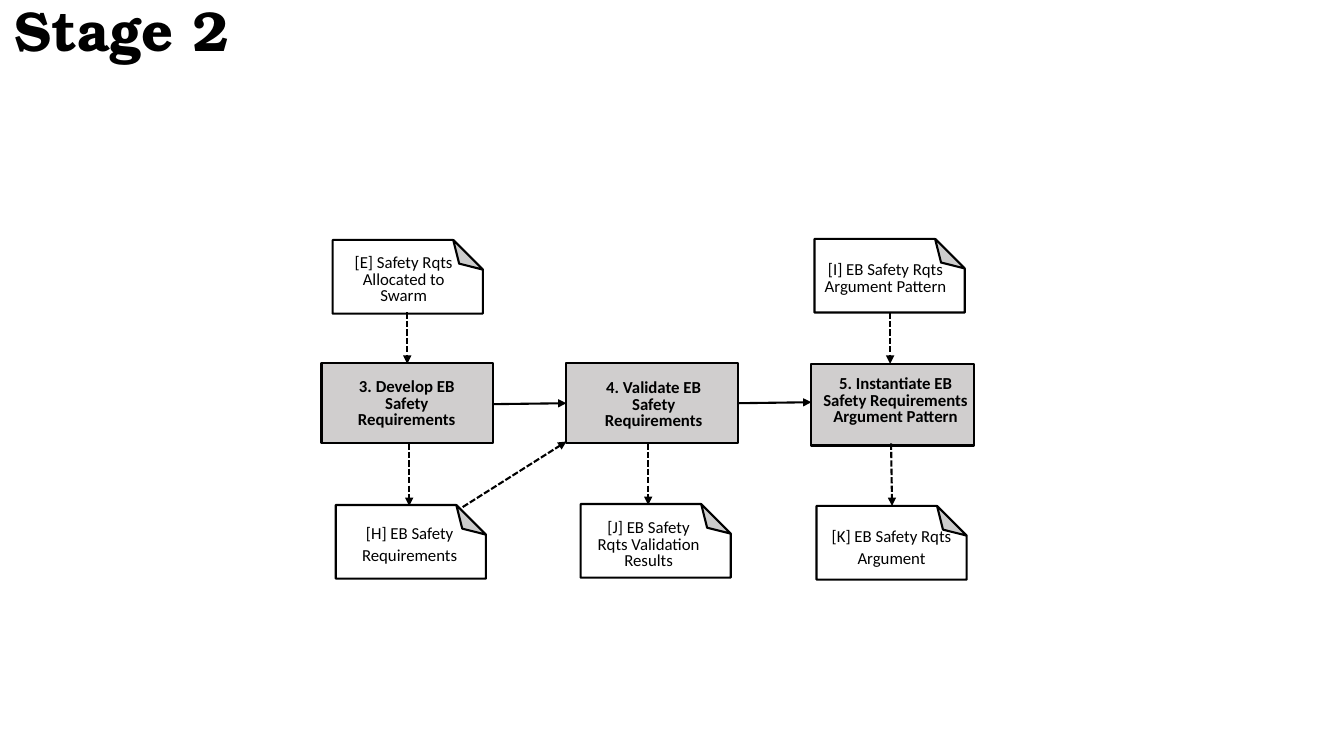
import pptx
import pptx.util
import pptx.dml.color
import pptx.enum.dml
import pptx.enum.shapes
import pptx.enum.text
import pptx.oxml
import pptx.oxml.ns

Pt = pptx.util.Pt
Align = pptx.enum.text.PP_ALIGN
Anchor = pptx.enum.text.MSO_ANCHOR
Dash = pptx.enum.dml.MSO_LINE
BLACK, WHITE, GREY = "000000", "FFFFFF", "D0CECE"
THIN, WIDE = (7.2, 3.6), (9.4, 5)
NOTE_W, NOTE_H = 107.3, 52.6
SPACE = pptx.oxml.ns.nsdecls("a")


def paint(form, color):
    form.solid()
    form.fore_color.rgb = pptx.dml.color.RGBColor.from_string(color)


def write(shape, text, size=12, font="Calibri", bold=False, align=Align.CENTER,
          lead=Pt(12), inset=THIN, anchor=Anchor.TOP):
    frame = shape.text_frame
    frame.word_wrap = True
    frame.auto_size = pptx.enum.text.MSO_AUTO_SIZE.NONE
    frame.vertical_anchor = anchor
    frame.margin_left = frame.margin_right = Pt(inset[0])
    frame.margin_top = frame.margin_bottom = Pt(inset[1])
    para = frame.paragraphs[0]
    para.alignment = align
    para.line_spacing = lead
    run = para.add_run()
    run.text = text
    run.font.size = Pt(size)
    run.font.name = font
    run.font.bold = bold
    paint(run.font.fill, BLACK)


def block(slide, box, color):
    shape = slide.shapes.add_shape(
        pptx.enum.shapes.MSO_SHAPE.RECTANGLE, *map(Pt, box))
    shape.shadow.inherit = False
    paint(shape.fill, color)
    paint(shape.line.fill, BLACK)
    shape.line.width = Pt(1.5)
    return shape


def fold(shape):
    geom = shape._element.spPr.find(pptx.oxml.ns.qn("a:prstGeom"))
    geom.set("prst", "foldedCorner")
    geom.find(pptx.oxml.ns.qn("a:avLst")).append(
        pptx.oxml.parse_xml(f'<a:gd {SPACE} name="adj" fmla="val 40200"/>'))


def label(slide, box, text, **style):
    write(slide.shapes.add_textbox(*map(Pt, box)), text, **style)


def step(slide, box, area, text, inset):
    block(slide, box, GREY)
    dx, dy, wide, high = area
    label(slide, (box[0] + dx, box[1] + dy, wide, high), text, bold=True, inset=inset)


def note(slide, left, top, area, text, **style):
    shift = (NOTE_W - NOTE_H) / 2
    page = block(slide, (left + shift, top - shift, NOTE_H, NOTE_W), WHITE)
    fold(page)
    page.rotation = 270
    dx, dy, wide, high = area
    label(slide, (left + dx, top + dy, wide, high), text, **style)


def arrow(slide, start, end, dashed):
    line = slide.shapes.add_connector(
        pptx.enum.shapes.MSO_CONNECTOR.STRAIGHT, *map(Pt, (*start, *end)))
    paint(line.line.fill, BLACK)
    line.line.width = Pt(1.5)
    if dashed:
        line.line.dash_style = Dash.SQUARE_DOT
    props = line._element.spPr
    props.find(pptx.oxml.ns.qn("a:ln")).append(
        pptx.oxml.parse_xml(f'<a:tailEnd {SPACE} type="triangle"/>'))
    props.append(pptx.oxml.parse_xml(f"<a:effectLst {SPACE}/>"))


def head(slide, box):
    title = slide.shapes.title
    title.left, title.top, title.width, title.height = map(Pt, box)
    write(title, "Stage 2", size=40, font="TeX Gyre Bonum", bold=True,
          align=Align.LEFT, lead=0.7, anchor=Anchor.MIDDLE)


def flow(slide, left, top):
    steps = [
        (0, 88.6, 122.4, 57.6, (7.2, 7.9, 107.3, 44), "3. Develop EB Safety Requirements", THIN),
        (174.9, 88.6, 122.4, 57.6, (5.1, 7.2, 114.5, 46), "4. Validate EB Safety Requirements", WIDE),
        (349.9, 89.3, 116, 58.3, (-2.9, 3.6, 126, 46),
         "5. Instantiate EB Safety Requirements Argument Pattern", WIDE),
    ]
    for x, y, wide, high, area, text, inset in steps:
        step(slide, (left + x, top + y, wide, high), area, text, inset)

    loose = Pt(15.8)
    notes = [
        (7.9, 0.8, (-2.9, 7.2, NOTE_W, 44), "[E] Safety Rqts Allocated to Swarm", {}),
        (352.1, 0, (-2.9, 13, NOTE_W, 32), "[I] EB Safety Rqts Argument Pattern", {}),
        (10.1, 190.1, (-0.8, 7.9, NOTE_W, 39), "[H] EB Safety Requirements", {"lead": loose}),
        (185, 189.4, (0, 7.9, 97.2, 44), "[J] EB Safety Rqts Validation Results", {}),
        (353.5, 190.8, (0, 7.9, NOTE_W, 41), "[K] EB Safety Rqts Argument",
         {"lead": loose, "inset": WIDE}),
    ]
    for x, y, area, text, style in notes:
        note(slide, left + x, top + y, area, text, **style)

    links = [
        (122.4, 118.1, 174.9, 117.4, False),
        (298.1, 117.4, 349.9, 116.7, False),
        (61.2, 52.6, 61.2, 89.3, True),
        (62.6, 146.2, 62.6, 190.8, True),
        (406.1, 52.6, 406.1, 89.3, True),
        (233.3, 146.2, 233.3, 190.1, True),
        (406.8, 146.2, 407.5, 190.8, True),
        (100.8, 191.6, 174.9, 144.8, True),
    ]
    for x, y, to_x, to_y, dashed in links:
        arrow(slide, (left + x, top + y), (left + to_x, top + to_y), dashed)


deck = pptx.Presentation()
deck.slide_width, deck.slide_height = Pt(960), Pt(540)
slide = deck.slides.add_slide(deck.slide_layouts[5])
flow(slide, 229.7, 170.6)
head(slide, (2.9, -12.2, 923, 78.5))
deck.save("out.pptx")
